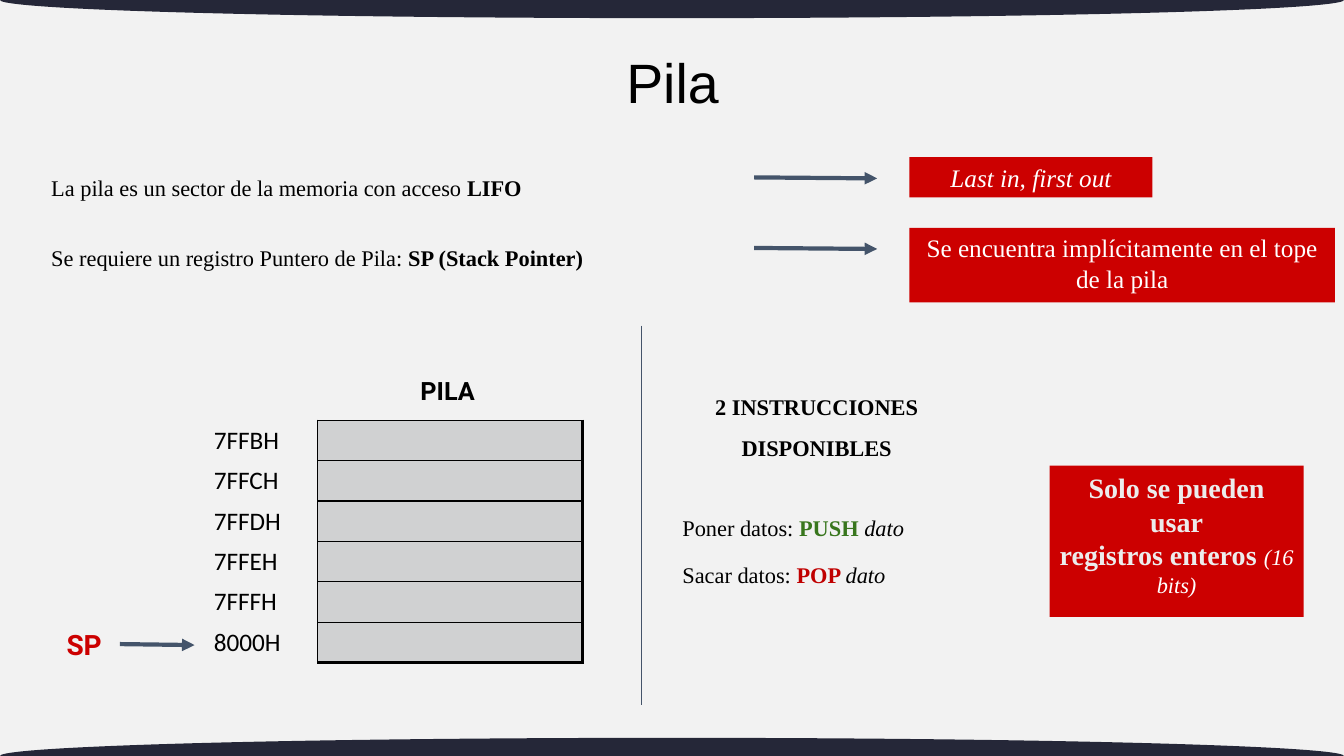
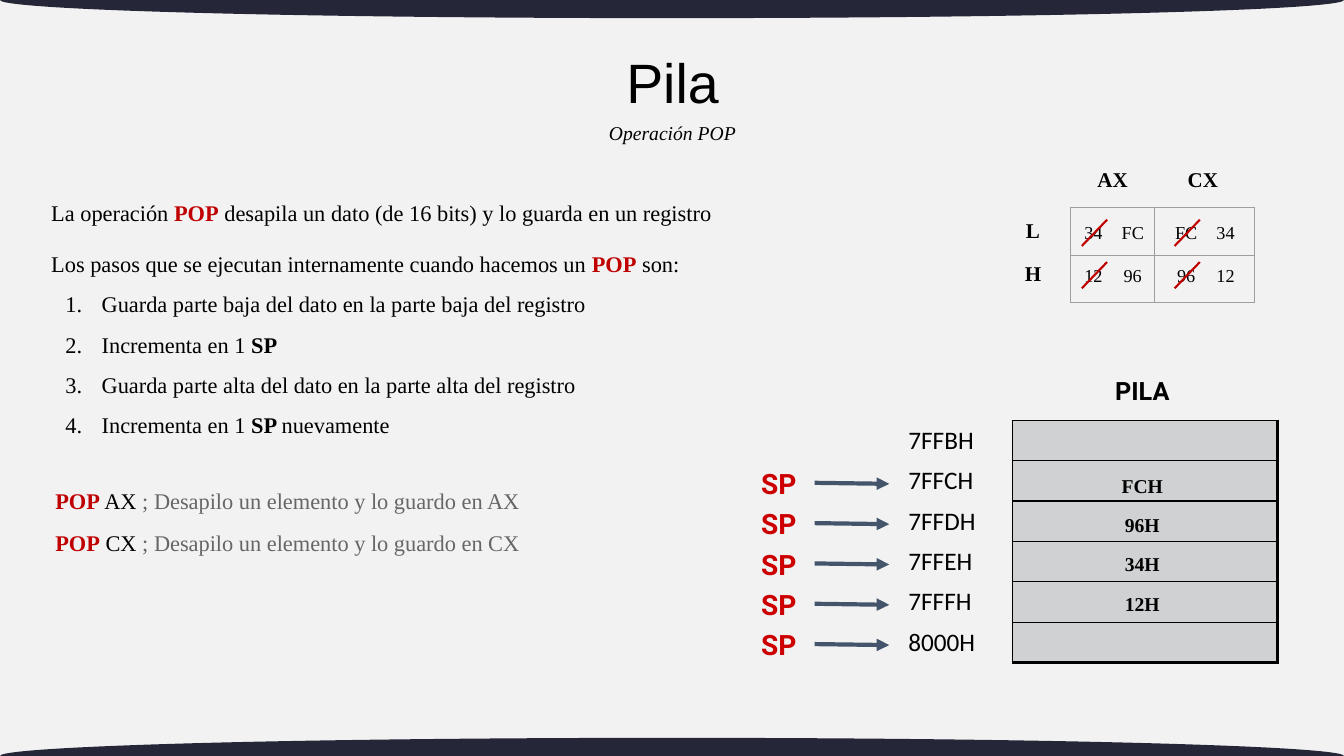
from dataclasses import dataclass

from lxml import etree
from pptx import Presentation
from pptx.dml.color import RGBColor
from pptx.enum.shapes import MSO_CONNECTOR, MSO_SHAPE
from pptx.enum.text import MSO_ANCHOR, PP_ALIGN
from pptx.oxml.ns import qn
from pptx.util import Inches, Pt

STRAIGHT = MSO_CONNECTOR.STRAIGHT
RECTANGLE, ELLIPSE = MSO_SHAPE.RECTANGLE, MSO_SHAPE.OVAL
LEFT, CENTER = PP_ALIGN.LEFT, PP_ALIGN.CENTER
TOP, MIDDLE = MSO_ANCHOR.TOP, MSO_ANCHOR.MIDDLE
NO_GRID_STYLE = "{2D5ABB26-0587-4C30-8999-92F81FD0307C}"
WIDTH, HEIGHT = 13.33, 7.5
STACK_ROW = 0.4


@dataclass(frozen=True)
class Theme:
    background: str = "F2F2F2"
    band: str = "252738"
    ink: str = "000000"
    white: str = "FFFFFF"
    pale: str = "ECECEC"
    callout: str = "CC0000"
    pop: str = "C00000"
    push: str = "38761D"
    comment: str = "666666"
    line: str = "44546A"
    stack: str = "D0D1D2"
    grid: str = "9E9E9E"
    title_font: str = "Arial"
    body_font: str = "Times New Roman"
    table_font: str = "Calibri"
    label_font: str = "Roboto"
    title_size: float = 39.6
    pointer_size: int = 20
    large_size: int = 18
    body_size: int = 16
    heading_size: int = 15
    small_size: int = 14
    digit_size: int = 13


THEME = Theme()
BOLD = {"bold": True}
ITALIC = {"italic": True}
POP = {"bold": True, "color": THEME.pop}
PUSH = {"bold": True, "color": THEME.push}
COMMENT = {"color": THEME.comment}


def set_font(font, name=None, size=None, color=None, bold=None, italic=None):
    if name:
        font.name = name
    if size:
        font.size = Pt(size)
    if color:
        font.color.rgb = RGBColor.from_string(color)
    if bold is not None:
        font.bold = bold
    if italic is not None:
        font.italic = italic


def set_border(cell, side, color, width):
    properties = cell._tc.get_or_add_tcPr()
    border = etree.SubElement(properties, qn(f"a:ln{side}"), w=str(Pt(width)))
    fill = etree.SubElement(border, qn("a:solidFill"))
    etree.SubElement(fill, qn("a:srgbClr"), val=color)


class Deck:
    def __init__(self, theme):
        self.theme = theme
        self.presentation = Presentation()
        self.presentation.slide_width = Inches(WIDTH)
        self.presentation.slide_height = Inches(HEIGHT)
        self.slide = None

    def new_slide(self, title):
        theme = self.theme
        self.slide = self.presentation.slides.add_slide(self.presentation.slide_layouts[6])
        background = self.slide.background.fill
        background.solid()
        background.fore_color.rgb = RGBColor.from_string(theme.background)
        for edge in (0, HEIGHT):
            self.filled(ELLIPSE, 0, edge - 0.18, WIDTH, 0.36, theme.band)
        self.text(3.51, 0.38, 6.32, 0.94, [title], align=CENTER, spacing=0.9,
                  anchor=MIDDLE, name=theme.title_font, size=theme.title_size)

    def filled(self, kind, left, top, width, height, color):
        shape = self.slide.shapes.add_shape(
            kind, Inches(left), Inches(top), Inches(width), Inches(height))
        shape.shadow.inherit = False
        shape.fill.solid()
        shape.fill.fore_color.rgb = RGBColor.from_string(color)
        shape.line.fill.background()
        return shape

    def set_text(self, frame, paragraphs, align=LEFT, spacing=None, inset=0.05,
                 anchor=TOP, numbered_from=None, **font):
        base = {"name": self.theme.body_font, "size": self.theme.body_size,
                "color": self.theme.ink, **font}
        frame.word_wrap = True
        frame.vertical_anchor = anchor
        frame.margin_left = frame.margin_right = Inches(0.1)
        frame.margin_top = frame.margin_bottom = Inches(inset)
        for index, content in enumerate(paragraphs):
            paragraph = frame.add_paragraph() if index else frame.paragraphs[0]
            paragraph.alignment = align
            if spacing:
                paragraph.line_spacing = spacing
            if numbered_from is not None and index >= numbered_from:
                properties = paragraph._p.get_or_add_pPr()
                properties.set("marL", str(Inches(0.5)))
                properties.set("indent", str(Inches(-0.36)))
                etree.SubElement(properties, qn("a:buAutoNum"), type="arabicPeriod")
            set_font(paragraph.font, **base)
            for part in [content] if isinstance(content, str) else content:
                words, style = (part, {}) if isinstance(part, str) else part
                run = paragraph.add_run()
                run.text = words
                set_font(run.font, **style)

    def text(self, left, top, width, height, paragraphs, **style):
        box = self.slide.shapes.add_textbox(
            Inches(left), Inches(top), Inches(width), Inches(height))
        self.set_text(box.text_frame, paragraphs, **style)

    def body(self, left, top, width, height, paragraphs, **style):
        self.text(left, top, width, height, paragraphs, spacing=1.5, inset=0.1, **style)

    def label(self, left, top, width, words, size, **style):
        self.text(left, top, width, 0.34, [words], align=CENTER, inset=0.1,
                  size=size, **style)

    def callout(self, left, top, width, height, paragraphs, **style):
        shape = self.filled(RECTANGLE, left, top, width, height, self.theme.callout)
        self.set_text(shape.text_frame, paragraphs, align=CENTER, **style)

    def line(self, start, end, color, width, arrow=False):
        connector = self.slide.shapes.add_connector(
            STRAIGHT, *(Inches(value) for value in (*start, *end)))
        connector.line.color.rgb = RGBColor.from_string(color)
        connector.line.width = Pt(width)
        if arrow:
            etree.SubElement(connector.line._get_or_add_ln(), qn("a:tailEnd"), type="triangle")
        etree.SubElement(connector._element.spPr, qn("a:effectLst"))

    def arrow(self, left, top, length):
        self.line((left, top), (left + length, top + 0.01), self.theme.line, 3, arrow=True)

    def table(self, left, top, widths, row_height, rows):
        table = self.slide.shapes.add_table(
            rows, len(widths), Inches(left), Inches(top),
            Inches(sum(widths)), Inches(row_height * rows)).table
        table.first_row = table.horz_banding = False
        table._tbl.tblPr.find(qn("a:tableStyleId")).text = NO_GRID_STYLE
        for column, width in zip(table.columns, widths):
            column.width = Inches(width)
        for row in table.rows:
            row.height = Inches(row_height)
        return table

    def stack(self, left):
        theme = self.theme
        addresses = ("7FFBH", "7FFCH", "7FFDH", "7FFEH", "7FFFH", "8000H")
        table = self.table(left, 4.17, (1.13, 2.63), STACK_ROW, len(addresses))
        for index, address in enumerate(addresses):
            name, slot = table.cell(index, 0), table.cell(index, 1)
            self.set_text(name.text_frame, [address], name=theme.table_font,
                          size=theme.large_size)
            set_border(name, "R", theme.ink, 1)
            name.fill.background()
            bottom = 2.25 if index == len(addresses) - 1 else 1
            for side, width in (("L", 1), ("R", 2.25), ("T", 1), ("B", bottom)):
                set_border(slot, side, theme.ink, width)
            slot.fill.solid()
            slot.fill.fore_color.rgb = RGBColor.from_string(theme.stack)
        self.text(left + 1.81, 3.67, 1.22, 0.5, ["PILA"], align=CENTER,
                  name=theme.label_font, size=theme.large_size, bold=True)

    def pointer(self, left, top):
        self.text(left, top, 0.89, 0.43, ["SP"], align=CENTER, name=self.theme.label_font,
                  size=self.theme.pointer_size, color=self.theme.callout, bold=True)
        self.arrow(left + 0.8, top + 0.21, 0.74)

    def registers(self, left, top):
        theme = self.theme
        table = self.table(left, top, (0.83, 0.99), 0.47, 2)
        for cell in table.iter_cells():
            for side in "LRTB":
                set_border(cell, side, theme.grid, 0.75)
            cell.fill.background()
        for offset, width, name in ((0, 0.83, "AX"), (0.81, 1, "CX")):
            self.label(left + offset, top - 0.51, width, name, theme.heading_size, bold=True)
        values = (("L", (("34", "FC"), ("FC", "34"))),
                  ("H", (("12", "96"), ("96", "12"))))
        for row, (name, pairs) in enumerate(values):
            offset = 0.42 * row
            self.label(left - 0.63, top + offset, 0.51, name, theme.heading_size, bold=True)
            y = top + 0.04 + offset
            for column, (old, new) in enumerate(pairs):
                x = left - 0.03 + 0.92 * column
                self.label(x, y, 0.51, old, theme.digit_size)
                self.label(x + 0.39, y, 0.51, new, theme.digit_size)
                self.line((x + 0.39, y + 0.08), (x + 0.14, y + 0.34), theme.pop, 1.5)


def build_overview(deck):
    theme = deck.theme
    deck.new_slide("Pila")
    statements = (
        (1.49, "La pila es un sector de la memoria con acceso ", "LIFO"),
        (2.19, "Se requiere un registro Puntero de Pila: ", "SP (Stack Pointer)"),
    )
    for top, lead, term in statements:
        deck.body(0.41, top, 6.82, 0.55, [[lead, (term, BOLD)]])
        deck.arrow(7.48, top + 0.27, 1.22)
    deck.callout(9.02, 1.56, 2.41, 0.4, ["Last in, first out"],
                 size=theme.large_size, color=theme.white, italic=True)
    deck.callout(9.02, 2.26, 4.22, 0.74, ["Se encuentra implícitamente en el tope de la pila"],
                 size=theme.large_size, color=theme.white)
    deck.stack(2.02)
    deck.pointer(0.39, 6.18)
    deck.line((6.36, 3.23), (6.36, 6.99), theme.line, 0.75)
    deck.body(6.67, 3.67, 2.86, 0.82, ["2 INSTRUCCIONES DISPONIBLES"], align=CENTER, bold=True)
    instructions = ((4.87, "Poner datos: ", "PUSH ", PUSH), (5.33, "Sacar datos: ", "POP ", POP))
    for top, lead, name, style in instructions:
        deck.body(6.67, top, 3.3, 0.55, [[lead, (name, style), ("dato", ITALIC)]])
    size_note = {"size": theme.body_size, "color": theme.white, "bold": False, "italic": True}
    deck.callout(10.41, 4.62, 2.52, 1.5,
                 ["Solo se pueden usar", ["registros enteros ", ("(16 bits)", size_note)]],
                 size=theme.pointer_size, color=theme.pale, bold=True)


def build_pop(deck):
    theme = deck.theme
    deck.new_slide("Pila")
    deck.text(4.4, 1.15, 4.54, 0.34, ["Operación POP"], align=CENTER,
              size=theme.small_size, italic=True)
    deck.body(0.41, 1.74, 8.5, 0.55, [[
        "La operación ", ("POP", POP), " desapila un dato (de 16 bits) y lo guarda en un registro"]])
    deck.body(0.41, 2.25, 8.41, 2.01, [
        ["Los pasos que se ejecutan internamente cuando hacemos un ", ("POP", POP), " son:"],
        "Guarda parte baja del dato en la parte baja del registro",
        ["Incrementa en 1 ", ("SP", BOLD)],
        "Guarda parte alta del dato en la parte alta del registro",
        ["Incrementa en 1 ", ("SP ", BOLD), "nuevamente"],
    ], numbered_from=1)
    for index, register in enumerate(("AX", "CX")):
        comment = f"; Desapilo un elemento y lo guardo en {register}"
        deck.body(0.45, 4.6 + 0.42 * index, 6.82, 0.55,
                  [[("POP", POP), f" {register} ", (comment, COMMENT)]])
    deck.stack(8.91)
    for index in range(5):
        deck.pointer(7.28, 4.58 + STACK_ROW * index)
    for index, value in enumerate(("FCH", "96H", "34H", "12H")):
        deck.label(10.93, 4.6 + 0.39 * index, 0.8, value, theme.small_size, bold=True)
    deck.registers(10.62, 2.06)


def main():
    deck = Deck(THEME)
    build_overview(deck)
    build_pop(deck)
    deck.presentation.save("out.pptx")


if __name__ == "__main__":
    main()
